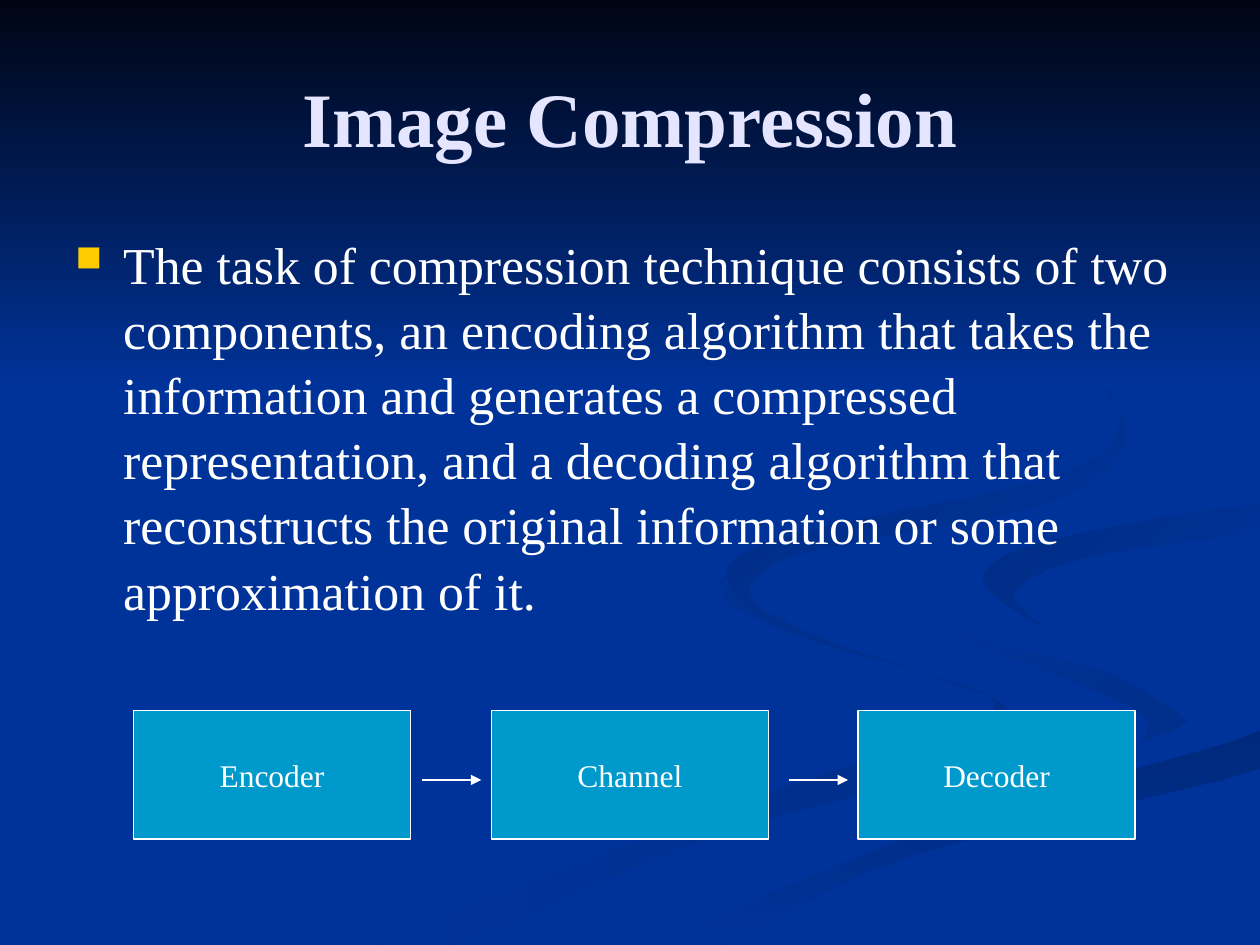
from lxml import etree
from pptx import Presentation
from pptx.dml.color import RGBColor as RGB
from pptx.enum.shapes import MSO_CONNECTOR as Conn, MSO_SHAPE as Kind
from pptx.enum.text import MSO_ANCHOR as Anchor, PP_ALIGN as Align
from pptx.oxml.ns import qn
from pptx.util import Inches as In, Pt

# Colours and font
BLUE = RGB.from_string("003399")
NIGHT = RGB.from_string("000514")
DEEP = RGB.from_string("002E8A")
DIM = RGB.from_string("00297C")
SHADE = RGB.from_string("002C85")
DUSK = RGB.from_string("002B81")
CYAN = RGB.from_string("0099CC")
GOLD = RGB.from_string("FFCC00")
LILAC = RGB.from_string("E5E5FF")
WHITE = RGB.from_string("FFFFFF")
FONT = "Times New Roman"

# Flow row: box size, top and left edges, all in inches
WIDE, HIGH, TOP = 2.2, 1.02, 5.64
STEPS = [("Encoder", 1.06), ("Channel", 3.9), ("Decoder", 6.81)]
FAR, NEAR, MID = 0.55, 0.08, 6.19

BODY = ("The task of compression technique consists of two components, an "
        "encoding algorithm that takes the information and generates a "
        "compressed representation, and a decoding algorithm that reconstructs "
        "the original information or some approximation of it.")

# Ribbons: first colour, last colour, clockwise angle, bends in inches
RIBBONS = [
    (DEEP, BLUE, 180, [
        (7.8, 5.5), (6.6, 5.1), (5.8, 4.7), (5.75, 4.6), (5.8, 4.8),
        (6.5, 5.1), (7.5, 5.4), (7.8, 5.7), (5.8, 6.4), (3, 7.5),
        (3.6, 7.5), (5.6, 6.65), (7.2, 6.2), (8, 5.8)]),
    (DEEP, BLUE, 225, [
        (9.4, 5.7), (8.7, 5.3), (7.6, 5), (7.24, 4.64), (7.5, 5),
        (8.4, 5.36), (9.1, 5.7), (8.94, 6.05), (9.4, 5.8)]),
    (DIM, BLUE, 90, [
        (5, 7.5), (5.7, 7.5), (7.2, 6.8), (10, 6.1), (10, 5.8),
        (7.6, 6.5), (6.3, 6.9)]),
    (BLUE, BLUE, 0, [
        (7.25, 4.64), (7.6, 5), (9, 5.4), (9.4, 5.75), (7.4, 6.4),
        (4.8, 7.5), (5.1, 7.5), (7.6, 6.5), (10, 5.8), (10, 5.4),
        (8.3, 5), (7.8, 4.6), (8.5, 4.27), (10, 4), (10, 3.87),
        (7.9, 4.2)]),
    (BLUE, SHADE, 225, [
        (7.8, 4.6), (8.26, 4.96), (8.05, 4.7), (8.6, 4.43), (10, 4.2),
        (10, 4), (8.3, 4.3)]),
    (BLUE, DUSK, 225, [
        (6.8, 4.3), (8.4, 3.96), (8.94, 3.44), (8.4, 2.75), (7.6, 2.33),
        (8.6, 2.9), (8.88, 3.4), (8.3, 3.8), (6.2, 4.27), (5.77, 4.6),
        (6.2, 5), (5.94, 4.7), (6.2, 4.45)]),
]


def curve(bends, parts=6):
    """Round off a closed outline with a spline through its bends."""
    dots = []
    for i, b in enumerate(bends):
        a, c, d = (bends[(i + k) % len(bends)] for k in (-1, 1, 2))
        for t in (n / parts for n in range(parts)):
            dots.append(tuple(
                q + t / 2 * (r - p + t * (2 * p - 5 * q + 4 * r - s
                                          + t * (3 * (q - r) + s - p)))
                for p, q, r, s in zip(a, b, c, d)))
    return [(min(x, 10), min(y, 7.5)) for x, y in dots]


def blend(shape, first, last, angle):
    """Fill a borderless shape with one colour or a two-colour blend."""
    shape.shadow.inherit = False
    shape.line.fill.background()
    if first == last:
        shape.fill.solid()
        shape.fill.fore_color.rgb = first
        return
    shape.fill.gradient()
    shape.fill.gradient_angle = (360 - angle) % 360
    for stop, tint in zip(shape.fill.gradient_stops, (first, last)):
        stop.color.rgb = tint


def ribbon(slide, first, last, angle, bends):
    dots = [(In(x), In(y)) for x, y in curve(bends)]
    pen = slide.shapes.build_freeform(*dots[0])
    pen.add_line_segments(dots[1:], close=True)
    blend(pen.convert_to_shape(), first, last, angle)


def write(shape, text, size=18, color=WHITE, bold=False, align=Align.CENTER,
          anchor=Anchor.MIDDLE, wrap=True):
    """Put text in a shape and return its paragraph."""
    frame = shape.text_frame
    frame.word_wrap = wrap
    frame.vertical_anchor = anchor
    para = frame.paragraphs[0]
    para.alignment = align
    run = para.add_run()
    run.text = text
    font = run.font
    font.name, font.size, font.bold = FONT, Pt(size), bold
    font.color.rgb = color
    return para


def bullet(para, mark, color, share, indent):
    """Give a paragraph a coloured mark and a hanging indent."""
    props = para._p.get_or_add_pPr()
    props.set("marL", str(In(indent)))
    props.set("indent", str(-In(indent)))
    tint = etree.SubElement(props, qn("a:buClr"))
    etree.SubElement(tint, qn("a:srgbClr"), val=str(color))
    etree.SubElement(props, qn("a:buSzPct"), val=str(share * 1000))
    etree.SubElement(props, qn("a:buChar"), char=mark)


def box(slide, text, left):
    shape = slide.shapes.add_shape(Kind.RECTANGLE, In(left), In(TOP),
                                   In(WIDE), In(HIGH))
    shape.shadow.inherit = False
    shape.fill.solid()
    shape.fill.fore_color.rgb = CYAN
    shape.line.color.rgb = WHITE
    shape.line.width = Pt(0.75)
    write(shape, text, wrap=False)


def arrow(slide, start, end):
    line = slide.shapes.add_connector(Conn.STRAIGHT, In(start), In(MID),
                                      In(end), In(MID))
    line.line.color.rgb = WHITE
    line.line.width = Pt(0.75)
    etree.SubElement(line.line._get_or_add_ln(), qn("a:tailEnd"),
                     type="triangle")
    etree.SubElement(line._element.spPr, qn("a:effectLst"))


def main():
    deck = Presentation()
    deck.slide_width, deck.slide_height = In(10), In(7.5)
    slide = deck.slides.add_slide(deck.slide_layouts[5])

    # Backdrop: ribbons, then the dark band along the top
    slide.background.fill.solid()
    slide.background.fill.fore_color.rgb = BLUE
    for item in RIBBONS:
        ribbon(slide, *item)
    band = slide.shapes.add_shape(Kind.RECTANGLE, 0, 0, In(10), In(3.08))
    blend(band, NIGHT, BLUE, 90)

    # Title, brought in front of the backdrop
    title = slide.shapes.title
    title.left, title.top, title.width, title.height = map(
        In, (0.5, 0.3, 9, 1.25))
    write(title, "Image Compression", size=44, color=LILAC, bold=True)
    slide.shapes._spTree.append(title._element)

    # Body
    body = slide.shapes.add_textbox(In(0.5), In(1.77), In(9.23), In(3.73))
    para = write(body, BODY, size=29.6, align=Align.LEFT, anchor=Anchor.TOP)
    para.line_spacing = 1.05
    bullet(para, "■", GOLD, 70, 0.38)

    # Flow: each box after the first has an arrow leading to it
    for rank, (name, left) in enumerate(STEPS):
        box(slide, name, left)
        if rank:
            arrow(slide, left - FAR, left - NEAR)

    deck.save("out.pptx")


if __name__ == "__main__":
    main()
